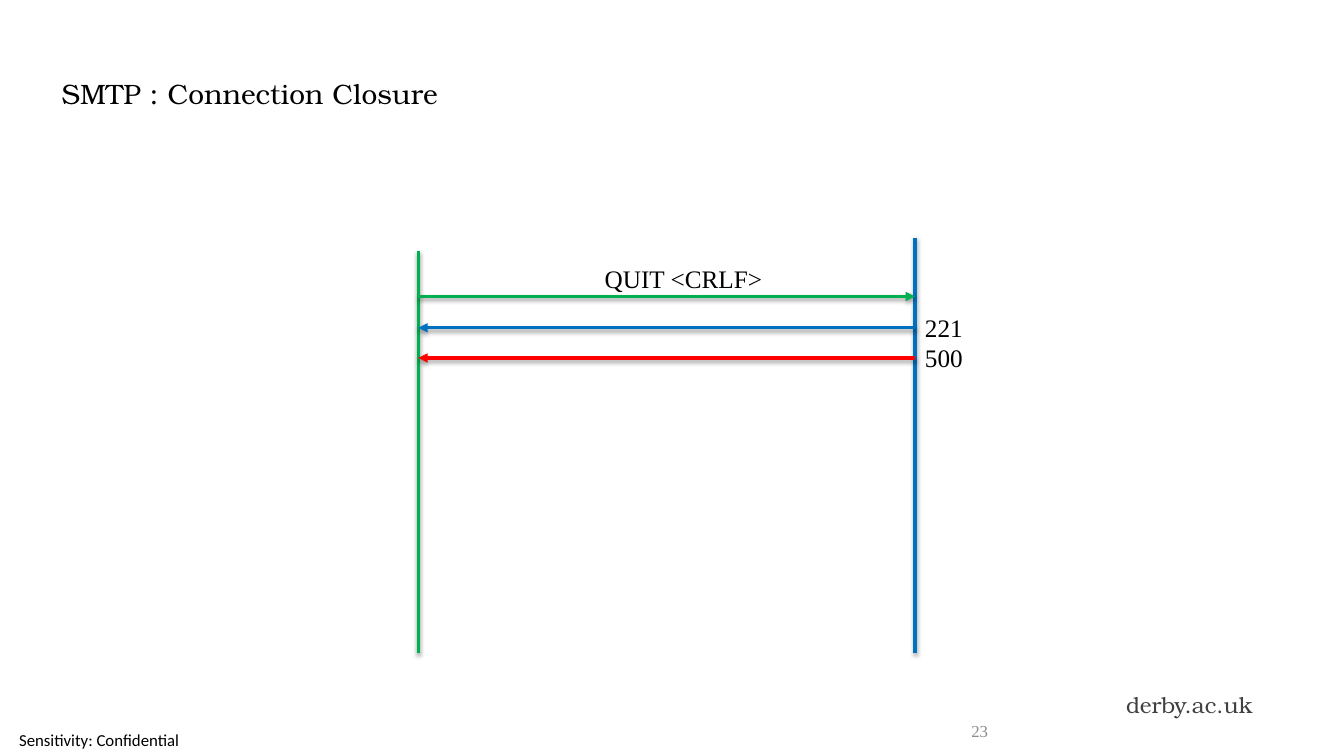
"""Build the SMTP connection closure sequence slide."""
from dataclasses import dataclass

import pptx
import pptx.dml.color
import pptx.enum.shapes
import pptx.enum.text
import pptx.oxml
import pptx.oxml.ns
import pptx.util
from pptx.util import Cm

ALIGN = pptx.enum.text.PP_ALIGN
DRAWING_NS = pptx.oxml.ns.nsdecls("a")


@dataclass(frozen=True)
class Theme:
    """Colours, fonts and type sizes of the slide."""
    black: str = "000000"
    white: str = "FFFFFF"
    client: str = "00B050"
    server: str = "0070C0"
    error: str = "FF0000"
    site: str = "404040"
    number: str = "8C8C8C"
    heading_font: str = "TeX Gyre Bonum"
    label_font: str = "Times New Roman"
    notice_font: str = "Calibri"
    title_size: int = 20
    label_size: int = 18
    site_size: int = 16
    small_size: int = 12
    line_width: float = 2.25


THEME = Theme()


def rgb(colour):
    """Turn a hex string into a colour."""
    return pptx.dml.color.RGBColor.from_string(colour)


def write(frame, text, font, size, colour=THEME.black, align=ALIGN.LEFT):
    """Write one formatted run into the first paragraph of a frame."""
    paragraph = frame.paragraphs[0]
    paragraph.alignment = align
    run = paragraph.add_run()
    run.text = text
    run.font.name = font
    run.font.size = pptx.util.Pt(size)
    run.font.color.rgb = rgb(colour)


def add_title(slide, text):
    """Place and fill the title placeholder."""
    title = slide.shapes.title
    title.left, title.top, title.width, title.height = Cm(1.3), Cm(0.76), Cm(30.89), Cm(3.18)
    title.text_frame.auto_size = pptx.enum.text.MSO_AUTO_SIZE.NONE
    title.text_frame.vertical_anchor = pptx.enum.text.MSO_ANCHOR.MIDDLE
    write(title.text_frame, text, THEME.heading_font, THEME.title_size)


def add_footer_text(slide, box, text, font, size, colour, align):
    """Add a vertically centred footer text."""
    frame = slide.shapes.add_textbox(*map(Cm, box)).text_frame
    frame.word_wrap = True
    frame.vertical_anchor = pptx.enum.text.MSO_ANCHOR.MIDDLE
    write(frame, text, font, size, colour, align)
    return frame


def add_label(slide, left, top, width, text):
    """Add a message label that fits its text."""
    frame = slide.shapes.add_textbox(Cm(left), Cm(top), Cm(width), Cm(1.02)).text_frame
    frame.word_wrap = False
    frame.auto_size = pptx.enum.text.MSO_AUTO_SIZE.SHAPE_TO_FIT_TEXT
    write(frame, text, THEME.label_font, THEME.label_size)


def add_line(slide, start, end, colour, arrow=False):
    """Add a softly shadowed line, with an arrowhead at its end if asked."""
    line = slide.shapes.add_connector(
        pptx.enum.shapes.MSO_CONNECTOR.STRAIGHT, *map(Cm, start + end))
    line.line.color.rgb = rgb(colour)
    line.line.width = pptx.util.Pt(THEME.line_width)
    properties = line.element.spPr
    if arrow:
        outline = properties.find(pptx.oxml.ns.qn("a:ln"))
        outline.append(pptx.oxml.parse_xml(f'<a:tailEnd {DRAWING_NS} type="triangle"/>'))
    properties.append(pptx.oxml.parse_xml(
        f'<a:effectLst {DRAWING_NS}><a:outerShdw blurRad="40000" dist="20000" '
        f'dir="5400000" rotWithShape="0"><a:srgbClr val="{THEME.black}">'
        '<a:alpha val="38000"/></a:srgbClr></a:outerShdw></a:effectLst>'))


def add_footer(slide):
    """Add the footer band with its site, sensitivity notice and slide number."""
    band = slide.shapes.add_shape(
        pptx.enum.shapes.MSO_SHAPE.RECTANGLE, Cm(0), Cm(16.38), Cm(33.87), Cm(2.72))
    band.shadow.inherit = False
    band.line.fill.background()
    band.fill.solid()
    band.fill.fore_color.rgb = rgb(THEME.white)
    fill_colour = band.element.spPr.find(".//" + pptx.oxml.ns.qn("a:srgbClr"))
    fill_colour.append(pptx.oxml.parse_xml(f'<a:alpha {DRAWING_NS} val="90000"/>'))

    add_footer_text(slide, (27.76, 17.07, 4.06, 1.37), "derby.ac.uk",
                    THEME.heading_font, THEME.site_size, THEME.site, ALIGN.RIGHT)
    notice = add_footer_text(slide, (0, 18.24, 5, 0.81), "Sensitivity: Confidential",
                             THEME.notice_font, THEME.small_size, THEME.black, ALIGN.CENTER)
    notice.margin_left = notice.margin_right = notice.margin_top = notice.margin_bottom = 0
    add_footer_text(slide, (24.13, 17.91, 1.02, 1.02), "23",
                    THEME.label_font, THEME.small_size, THEME.number, ALIGN.RIGHT)


def add_sequence(slide):
    """Draw the client and server lifelines and the messages between them."""
    client_x, server_x, bottom = 10.54, 23.06, 16.46
    add_line(slide, (client_x, 6.32), (client_x, bottom), THEME.client)
    add_line(slide, (server_x, 5.99), (server_x, bottom), THEME.server)

    quit_y = 7.47
    add_line(slide, (client_x, quit_y), (server_x, quit_y), THEME.client, arrow=True)
    add_label(slide, 14.99, 6.5, 4.52, "QUIT <CRLF>")

    for code, reply_y, colour in (("221", 8.26, THEME.server), ("500", 9.02, THEME.error)):
        add_line(slide, (server_x, reply_y), (client_x, reply_y), colour, arrow=True)
        add_label(slide, server_x, reply_y - 0.51, 1.5, code)


def main():
    """Build and save the presentation."""
    presentation = pptx.Presentation()
    presentation.slide_width, presentation.slide_height = Cm(33.87), Cm(19.05)
    slide = presentation.slides.add_slide(presentation.slide_layouts[5])
    add_footer(slide)
    add_title(slide, "SMTP : Connection Closure")
    add_sequence(slide)
    presentation.save("out.pptx")


if __name__ == "__main__":
    main()
